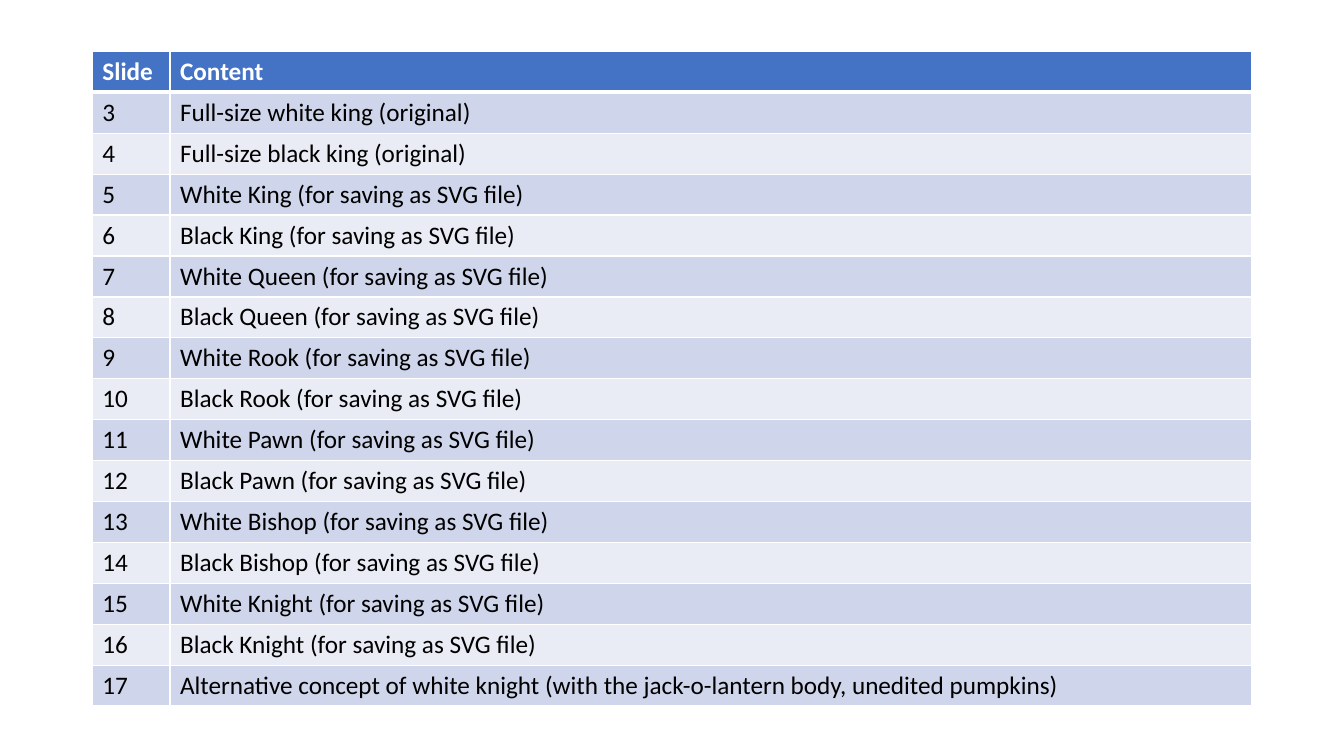
from lxml import etree
from pptx import Presentation
from pptx import util as u
from pptx.dml.color import RGBColor
from pptx.oxml import ns

PX = 9525
HUES = {"head": "4472C4", "odd": "CFD5EA", "even": "E9EBF5",
        "white": "FFFFFF", "black": "000000"}


def write(frame, words, size=18, font="Calibri", hue="black", bold=False):
    para = frame.paragraphs[0]
    run = para.add_run()
    run.text = words
    run.font.size = u.Pt(size)
    run.font.name = font
    run.font.bold = bold
    run.font.color.rgb = RGBColor.from_string(HUES[hue])


class Deck:
    """Holds the style and the current slide."""

    def __init__(self, wide, high):
        self.show = Presentation()
        self.show.slide_width = u.Emu(wide * PX)
        self.show.slide_height = u.Emu(high * PX)
        self.slide = self.show.slides.add_slide(self.show.slide_layouts[6])

    def edge(self, cell, side, width, hue="white"):
        props = cell._tc.get_or_add_tcPr()
        line = etree.SubElement(props, ns.qn(f"a:ln{side}"), w=str(u.Pt(width)))
        fill = etree.SubElement(line, ns.qn("a:solidFill"))
        etree.SubElement(fill, ns.qn("a:srgbClr"), val=HUES[hue])

    def cell(self, cell, words, fill, hue, bold, top, base):
        for side, width in (("L", 1), ("R", 1), ("T", top), ("B", base)):
            self.edge(cell, side, width)
        cell.fill.solid()
        cell.fill.fore_color.rgb = RGBColor.from_string(HUES[fill])
        write(cell.text_frame, words, hue=hue, bold=bold)

    def table(self, left, top, cols, high, rows):
        box = [u.Emu(n * PX) for n in (left, top, sum(cols), high * len(rows))]
        grid = self.slide.shapes.add_table(len(rows), len(cols), *box).table
        for col, wide in zip(grid.columns, cols):
            col.width = u.Emu(wide * PX)
        for i, (row, line) in enumerate(zip(grid.rows, rows)):
            row.height = u.Emu(high * PX)
            head = i == 0
            fill = "head" if head else "odd" if i % 2 else "even"
            for cell, words in zip(row.cells, line):
                self.cell(cell, words, fill, "white" if head else "black", head,
                          3 if i == 1 else 1, 3 if head else 1)

    def save(self):
        self.show.save("out.pptx")


def main():
    items = [f"Full-size {side} king (original)" for side in ("white", "black")]
    items += [f"{side} {piece} (for saving as SVG file)"
              for piece in ("King", "Queen", "Rook", "Pawn", "Bishop", "Knight")
              for side in ("White", "Black")]
    items.append("Alternative concept of white knight "
                 "(with the jack-o-lantern body, unedited pumpkins)")
    rows = [("Slide", "Content")]
    rows += [(str(n), item) for n, item in enumerate(items, 3)]
    deck = Deck(1280, 720)
    deck.table(88, 49, (74, 1030), 39, rows)
    deck.save()


if __name__ == "__main__":
    main()
